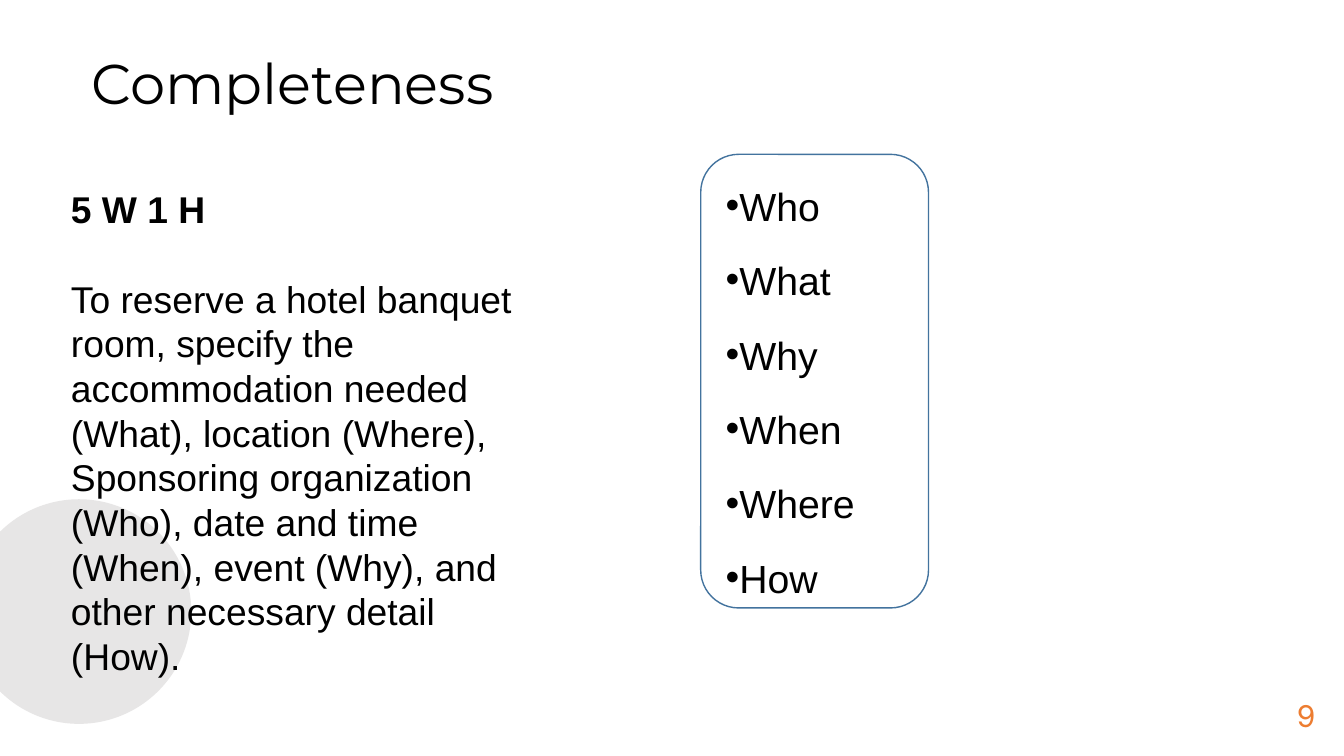
from pptx import Presentation
from pptx.dml.color import RGBColor
from pptx.enum import shapes, text
from pptx.oxml import parse_xml
from pptx.oxml.ns import nsdecls
from pptx.util import Cm, Pt


def color(value):
    return RGBColor.from_string(value)


def add_text(left, top, width, height, lines, font, size, ink="000000", inset=0):
    box = page.shapes.add_textbox(Cm(left), Cm(top), Cm(width), Cm(height))
    frame = box.text_frame
    frame.word_wrap = True
    frame.margin_left = frame.margin_right = Cm(inset)
    frame.margin_top = frame.margin_bottom = Cm(inset / 2)
    frame.text = "\n".join(lines)
    for para in frame.paragraphs:
        for span in para.runs:
            span.font.name = font
            span.font.size = Pt(size)
            span.font.color.rgb = color(ink)
    return frame


deck = Presentation()
deck.slide_width, deck.slide_height = Cm(33.87), Cm(19.05)
page = deck.slides.add_slide(deck.slide_layouts[6])

corner = page.shapes.add_shape(
    shapes.MSO_SHAPE.CHORD, Cm(-0.84), Cm(12.58), Cm(5.66), Cm(5.66))
corner.rotation = 180
corner.adjustments[0] = 26.74 * 60000
corner.adjustments[1] = 189.22 * 60000
corner.fill.solid()
corner.fill.fore_color.rgb = color("E7E6E6")
corner.line.fill.background()
corner.shadow.inherit = False

frame_box = page.shapes.add_shape(
    shapes.MSO_SHAPE.ROUNDED_RECTANGLE, Cm(17.66), Cm(3.89), Cm(5.74), Cm(11.43))
frame_box.fill.background()
frame_box.line.color.rgb = color("43739E")
frame_box.line.width = Pt(1)
frame_box.shadow.inherit = False

questions = add_text(18.29, 4.87, 4.8, 10.2,
                     ["Who", "What", "Why", "When", "Where", "How"], "Arial", 28)
for index, para in enumerate(questions.paragraphs):
    para.line_spacing = 0.75
    para.space_before = Pt(27.9 if index else 0)
    props = para._p.get_or_add_pPr()
    props.set("marL", str(Cm(0.3)))
    props.set("indent", str(-Cm(0.3)))
    props.append(parse_xml(f'<a:buFont {nsdecls("a")} typeface="Arial"/>'))
    props.append(parse_xml(f'<a:buChar {nsdecls("a")} char="•"/>'))

number = add_text(31.12, 17.3, 2.03, 1.45, ["9"], "Inter", 21.4, "ED7D31")
number.vertical_anchor = text.MSO_ANCHOR.MIDDLE
number.paragraphs[0].alignment = text.PP_ALIGN.RIGHT

title = add_text(2.31, 0.99, 19.53, 2.39, ["Completeness"], "Montserrat", 40)
title.vertical_anchor = text.MSO_ANCHOR.MIDDLE
title.paragraphs[0].line_spacing = 0.9

example = add_text(1.45, 4.53, 11.99, 11.73, [
    "5 W 1 H",
    "To reserve a hotel banquet room, specify the accommodation needed (What), "
    "location (Where), Sponsoring organization (Who), date and time (When), "
    "event (Why), and other necessary detail (How).",
], "Arial", 26.6, inset=0.34)
example.paragraphs[0].runs[0].font.bold = True
example.paragraphs[1].space_before = Pt(32)

deck.save("out.pptx")
